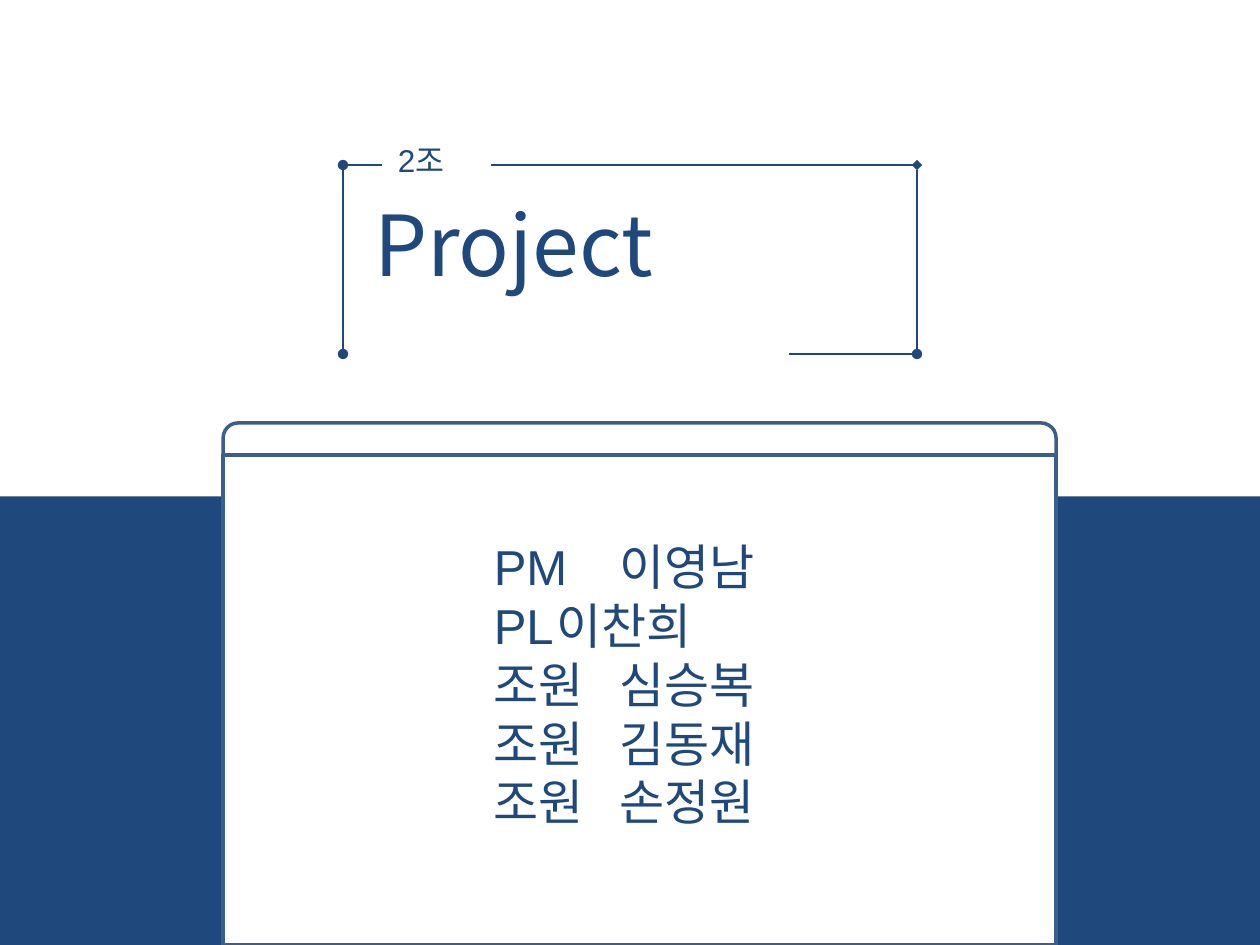
from dataclasses import dataclass
from typing import Optional

from lxml import etree
from pptx import Presentation
from pptx.dml.color import RGBColor
from pptx.enum.shapes import MSO_CONNECTOR, MSO_SHAPE
from pptx.enum.text import MSO_ANCHOR, MSO_AUTO_SIZE, PP_ALIGN
from pptx.oxml.ns import qn
from pptx.util import Pt

NAVY = RGBColor(0x1F, 0x49, 0x7D)
STEEL = RGBColor(0x3A, 0x5F, 0x8C)
WHITE = RGBColor(0xFF, 0xFF, 0xFF)
RECT, ROUNDED = MSO_SHAPE.RECTANGLE, MSO_SHAPE.ROUNDED_RECTANGLE
STRAIGHT = MSO_CONNECTOR.STRAIGHT
LEFT, TOP, NO_FIT = PP_ALIGN.LEFT, MSO_ANCHOR.TOP, MSO_AUTO_SIZE.NONE

FRAME_LEFT, FRAME_RIGHT = 196, 524
FRAME_TOP, FRAME_BOTTOM = 94.3, 202.3
LEAD_TAB, MEMBER_TAB = 72, 67


@dataclass(frozen=True)
class Panel:
    left: float
    top: float
    width: float
    height: float
    fill: RGBColor
    border: Optional[RGBColor] = None
    rounding: Optional[float] = None


@dataclass(frozen=True)
class FrameLine:
    x1: float
    y1: float
    x2: float
    y2: float
    head: Optional[str] = None
    tail: Optional[str] = None


@dataclass(frozen=True)
class Member:
    role: str
    name: str
    tab: float


PANELS = [
    Panel(0, 283.7, 720, 258.3, NAVY),
    Panel(127.5, 241.7, 476, 296, WHITE, STEEL, 0.029),
    Panel(127.5, 260, 476, 280, WHITE, STEEL),
]
FRAME = [
    FrameLine(FRAME_LEFT, FRAME_TOP, FRAME_LEFT, FRAME_BOTTOM, "oval", "oval"),
    FrameLine(FRAME_RIGHT, FRAME_TOP, FRAME_RIGHT, FRAME_BOTTOM, "diamond", "oval"),
    FrameLine(FRAME_LEFT, FRAME_TOP, 218.3, FRAME_TOP),
    FrameLine(FRAME_RIGHT, FRAME_TOP, 280.6, FRAME_TOP),
    FrameLine(FRAME_RIGHT, FRAME_BOTTOM, 451, FRAME_BOTTOM),
]
MEMBERS = [
    Member("PM", "이영남", LEAD_TAB),
    Member("PL", "이찬희", LEAD_TAB),
    Member("조원", "심승복", MEMBER_TAB),
    Member("조원", "김동재", MEMBER_TAB),
    Member("조원", "손정원", MEMBER_TAB),
]


def draw_panel(shapes, panel: Panel) -> None:
    kind = RECT if panel.rounding is None else ROUNDED
    shape = shapes.add_shape(kind, Pt(panel.left), Pt(panel.top),
                             Pt(panel.width), Pt(panel.height))
    shape.shadow.inherit = False
    if panel.rounding is not None:
        shape.adjustments[0] = panel.rounding
    shape.fill.solid()
    shape.fill.fore_color.rgb = panel.fill
    if panel.border is None:
        shape.line.fill.background()
    else:
        shape.line.color.rgb = panel.border
        shape.line.width = Pt(2)


def draw_frame_line(shapes, line: FrameLine) -> None:
    connector = shapes.add_connector(STRAIGHT, Pt(line.x1), Pt(line.y1),
                                     Pt(line.x2), Pt(line.y2))
    connector.line.color.rgb = NAVY
    connector.line.width = Pt(0.75)
    outline = connector.line._get_or_add_ln()
    for tag, end in (("a:headEnd", line.head), ("a:tailEnd", line.tail)):
        if end:
            etree.SubElement(outline, qn(tag), type=end)
    etree.SubElement(connector._element.spPr, qn("a:effectLst"))


def write_text(shape, lines: list[str], *, left: float, top: float, width: float,
               height: float, size: float, font: str = "Arial") -> None:
    """Place a text shape and fill it with one paragraph per line."""
    shape.left, shape.top = Pt(left), Pt(top)
    shape.width, shape.height = Pt(width), Pt(height)
    frame = shape.text_frame
    frame.word_wrap = True
    frame.auto_size = NO_FIT
    frame.vertical_anchor = TOP
    frame.text = "\n".join(lines)
    for paragraph in frame.paragraphs:
        paragraph.alignment = LEFT
        paragraph.space_before = Pt(0)
        for run in paragraph.runs:
            run.font.name = font
            run.font.size = Pt(size)
            run.font.color.rgb = NAVY


def align_names(paragraph, tab: float) -> None:
    """Remove the bullet and indent, and set the tab stop of the name."""
    properties = paragraph._p.get_or_add_pPr()
    properties.set("marL", "0")
    properties.set("indent", "0")
    etree.SubElement(properties, qn("a:buNone"))
    stops = etree.SubElement(properties, qn("a:tabLst"))
    etree.SubElement(stops, qn("a:tab"), pos=str(int(Pt(tab))), algn="l")


def main() -> None:
    deck = Presentation()
    deck.slide_width, deck.slide_height = Pt(720), Pt(540)
    slide = deck.slides.add_slide(deck.slide_layouts[1])
    shapes = slide.shapes
    title, team = slide.placeholders

    for panel in PANELS:
        draw_panel(shapes, panel)
    for line in FRAME:
        draw_frame_line(shapes, line)

    write_text(title, ["Project"], left=206.6, top=106.5, width=244, height=124,
               size=48, font="Noto Sans CJK KR")
    group_label = shapes.add_textbox(0, 0, 0, 0)
    write_text(group_label, ["2조"], left=220.3, top=77, width=55, height=29, size=18)

    write_text(team, [f"{member.role}\t{member.name}" for member in MEMBERS],
               left=275, top=303, width=187, height=177, size=28)
    for paragraph, member in zip(team.text_frame.paragraphs, MEMBERS):
        align_names(paragraph, member.tab)
    # The list belongs in front of the panels.
    shapes._spTree.append(team._element)

    deck.save("out.pptx")


if __name__ == "__main__":
    main()
